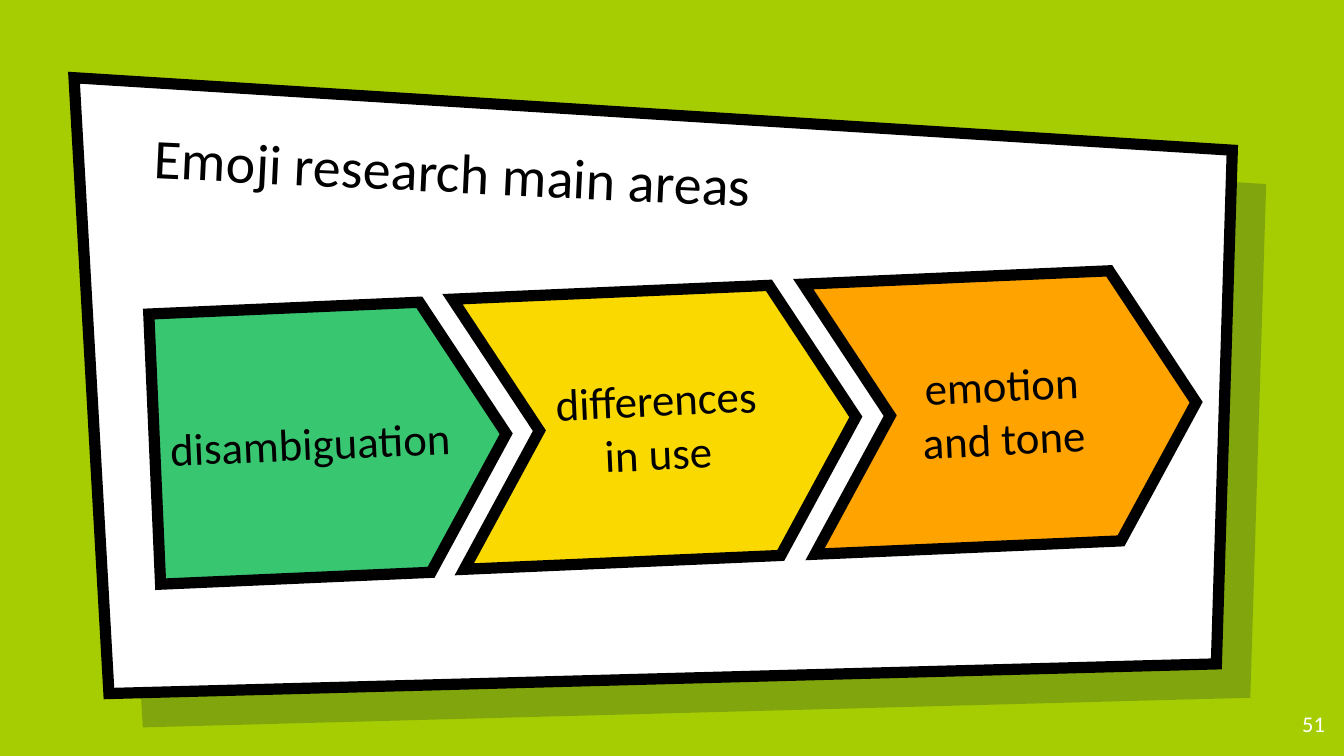
from lxml.etree import SubElement
from pptx import Presentation
from pptx.dml.color import RGBColor
from pptx.enum.shapes import MSO_SHAPE
from pptx.enum.text import MSO_ANCHOR, MSO_AUTO_SIZE, PP_ALIGN
from pptx.oxml.ns import qn
from pptx.util import Cm, Pt

LIME = RGBColor(0xA6, 0xCD, 0x02)
NAVY = RGBColor(0x00, 0x19, 0x36)
WHITE = RGBColor(0xFF, 0xFF, 0xFF)
BLACK = RGBColor(0x00, 0x00, 0x00)
GREEN = RGBColor(0x38, 0xC6, 0x71)
YELLOW = RGBColor(0xFA, 0xD9, 0x00)
ORANGE = RGBColor(0xFF, 0xA3, 0x00)

FONT = "Calibri"
BOARD_CORNERS = [(1.4, 1.47), (23.29, 2.84), (22.99, 12.55), (2.06, 13.11)]
SHADOW_OFFSET = 0.64
ARROW_HEIGHT = 5.11
ARROW_TILT = 357.5
ARROWS = [
    ("disambiguation", MSO_SHAPE.PENTAGON, 2.92, 5.79, 6.65, GREEN),
    ("differences in use", MSO_SHAPE.CHEVRON, 8.66, 5.49, 7.52, YELLOW),
    ("emotion and tone", MSO_SHAPE.CHEVRON, 15.29, 5.21, 7.32, ORANGE),
]


def write_text(shape, text, size, color, align, anchor):
    frame = shape.text_frame
    frame.text = text
    frame.word_wrap = True
    frame.auto_size = MSO_AUTO_SIZE.NONE
    frame.vertical_anchor = anchor
    frame.margin_left = frame.margin_right = Cm(0.25)
    frame.margin_top = frame.margin_bottom = Cm(0.25)
    para = frame.paragraphs[0]
    para.alignment = align
    font = para.runs[0].font
    font.name = FONT
    font.size = Pt(size)
    font.color.rgb = color


def paint(shape, color):
    shape.shadow.inherit = False
    shape.fill.solid()
    shape.fill.fore_color.rgb = color


def outline(shape):
    shape.line.color.rgb = BLACK
    shape.line.width = Pt(6)
    line = shape.line._get_or_add_ln()
    SubElement(line, qn("a:miter"), lim="800000")


def add_board(slide, offset, color):
    points = [(Cm(x + offset), Cm(y + offset)) for x, y in BOARD_CORNERS]
    builder = slide.shapes.build_freeform(*points[0])
    builder.add_line_segments(points[1:], close=True)
    board = builder.convert_to_shape()
    paint(board, color)
    return board


def add_board_with_shadow(slide):
    shadow = add_board(slide, SHADOW_OFFSET, NAVY)
    shadow.line.fill.background()
    tint = shadow.fill._xPr.find(qn("a:solidFill"))[0]
    SubElement(tint, qn("a:alpha"), val="22000")
    outline(add_board(slide, 0, WHITE))


def add_arrow(slide, text, kind, left, top, width, color):
    arrow = slide.shapes.add_shape(kind, Cm(left), Cm(top), Cm(width), Cm(ARROW_HEIGHT))
    arrow.adjustments[0] = 0.3
    arrow.rotation = ARROW_TILT
    paint(arrow, color)
    outline(arrow)
    write_text(arrow, text, 24, BLACK, PP_ALIGN.CENTER, MSO_ANCHOR.MIDDLE)


def add_page_number(slide, number):
    box = slide.shapes.add_textbox(Cm(23.77), Cm(13.18), Cm(1.52), Cm(1.09))
    write_text(box, number, 12, WHITE, PP_ALIGN.RIGHT, MSO_ANCHOR.TOP)


def place_title(slide, text):
    title = slide.shapes.title
    title.left, title.top = Cm(2.67), Cm(2.18)
    title.width, title.height = Cm(19.53), Cm(2.11)
    title.rotation = 2.7
    write_text(title, text, 30, BLACK, PP_ALIGN.LEFT, MSO_ANCHOR.BOTTOM)
    slide.shapes._spTree.append(title._element)


def main():
    deck = Presentation()
    deck.slide_width, deck.slide_height = Cm(25.4), Cm(14.29)
    page = deck.slides.add_slide(deck.slide_layouts[5])
    page.background.fill.solid()
    page.background.fill.fore_color.rgb = LIME
    add_board_with_shadow(page)
    add_page_number(page, "51")
    for arrow in ARROWS:
        add_arrow(page, *arrow)
    place_title(page, "Emoji research main areas")
    deck.save("out.pptx")


if __name__ == "__main__":
    main()
